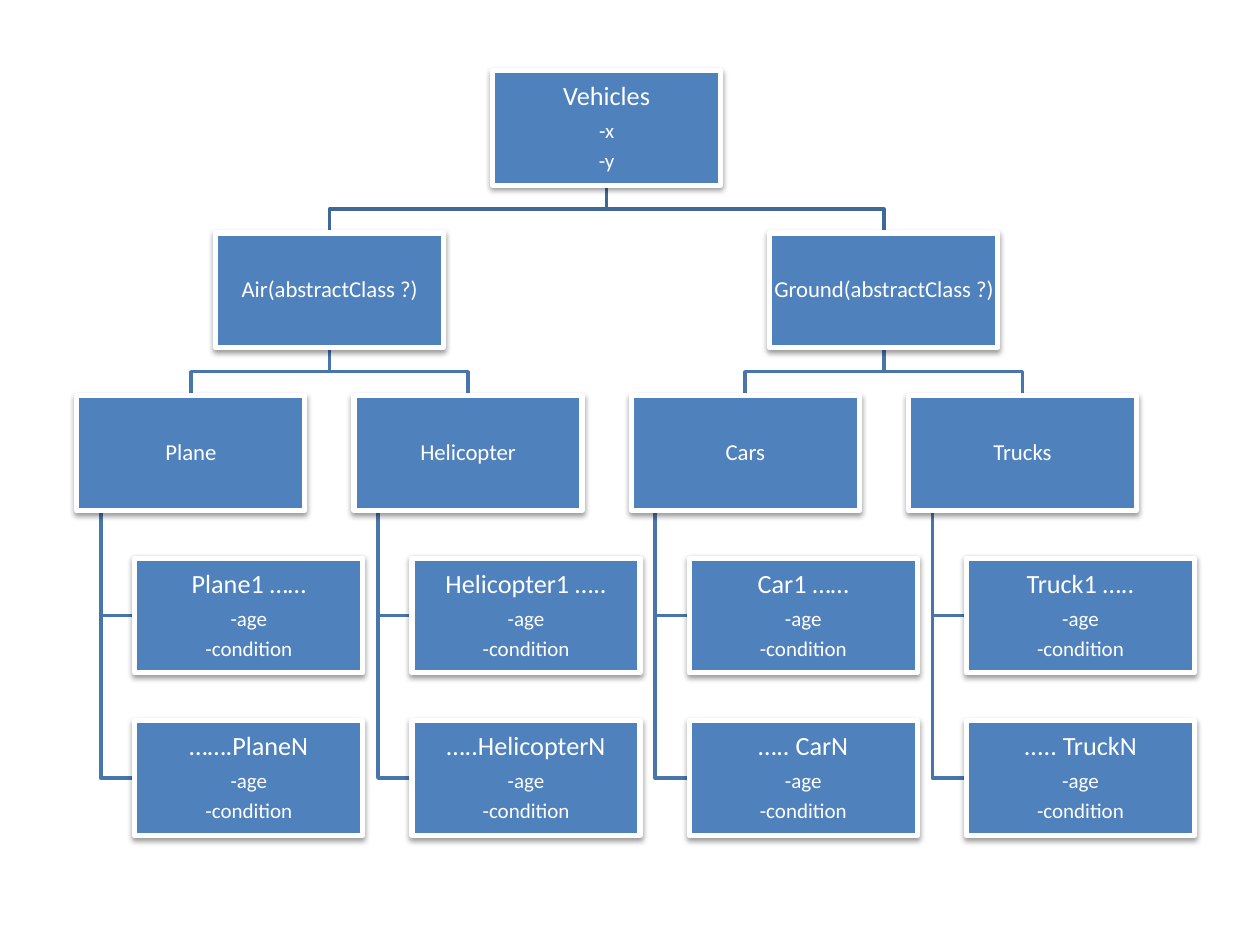
from lxml import etree
from pptx import Presentation
from pptx import util as u
from pptx.dml import color
from pptx.enum import shapes, text
from pptx.oxml import ns

HUES = {"box": "4F81BD", "edge": "FFFFFF", "text": "FFFFFF",
        "top": "3F6797", "low": "4875AC", "shade": "000000"}
LEFT, TOP, COL, ROW = 0.61, 0.56, 2.2, 1.29
WIDE, HIGH, SHIFT, SPINE = 1.81, 0.91, 0.46, 0.19
KINDS = [
    ("Plane", "Plane1 ……", "…….PlaneN"),
    ("Helicopter", "Helicopter1 …..", "…..HelicopterN"),
    ("Cars", "Car1 ……", "….. CarN"),
    ("Trucks", "Truck1 …..", "..... TruckN"),
]


def hue(name):
    return color.RGBColor.from_string(HUES[name])


def spot(col, row):
    return LEFT + COL * col, TOP + ROW * row


def shade(shape):
    props = shape._element.spPr
    for old in props.findall(ns.qn("a:effectLst")):
        props.remove(old)
    fx = etree.SubElement(props, ns.qn("a:effectLst"))
    outer = etree.SubElement(fx, ns.qn("a:outerShdw"), blurRad="40000",
                             dist="20000", dir="5400000", rotWithShape="0")
    tint = etree.SubElement(outer, ns.qn("a:srgbClr"), val=HUES["shade"])
    etree.SubElement(tint, ns.qn("a:alpha"), val="38000")


def path(slide, points, tone):
    spots = [(u.Inches(x), u.Inches(y)) for x, y in points]
    pen = slide.shapes.build_freeform(*spots[0])
    pen.add_line_segments(spots[1:], close=False)
    line = pen.convert_to_shape()
    line.shadow.inherit = False
    line.fill.background()
    line.line.color.rgb = hue(tone)
    line.line.width = u.Pt(2)


def fork(slide, col, row, span, tone):
    """Join a box to the two boxes that stand span columns to either side."""
    x, y = spot(col, row)
    x, y, end = x + WIDE / 2, y + HIGH, y + ROW
    mid = (y + end) / 2
    for side in (-1, 1):
        far = x + side * span * COL
        path(slide, [(x, y), (x, mid), (far, mid), (far, end)], tone)


def hook(slide, col, row):
    x, y = spot(col, 2)
    end = spot(col, row)[1] + HIGH / 2
    path(slide, [(x + SPINE, y + HIGH), (x + SPINE, end), (x + SHIFT, end)], "low")


def box(slide, col, row, title, notes=(), shift=0):
    x, y = spot(col, row)
    rect = slide.shapes.add_shape(
        shapes.MSO_SHAPE.RECTANGLE, u.Inches(x + shift), u.Inches(y),
        u.Inches(WIDE), u.Inches(HIGH))
    rect.fill.solid()
    rect.fill.fore_color.rgb = hue("box")
    rect.line.color.rgb = hue("edge")
    rect.line.width = u.Pt(3)
    shade(rect)
    frame = rect.text_frame
    frame.word_wrap = True
    frame.vertical_anchor = text.MSO_ANCHOR.MIDDLE
    frame.margin_left = frame.margin_right = u.Inches(0.01)
    frame.margin_top = frame.margin_bottom = u.Inches(0.01)
    frame.text = "\n".join([title, *notes])
    for i, para in enumerate(frame.paragraphs):
        size = 12 if i else 15 if notes else 13
        para.alignment = text.PP_ALIGN.CENTER
        para.line_spacing = 0.9
        para.space_after = u.Pt(size * 0.35)
        para.font.size = u.Pt(size)
        para.font.name = "Calibri"
        para.font.color.rgb = hue("text")


def main():
    deck = Presentation()
    deck.slide_width, deck.slide_height = u.Inches(10), u.Inches(7.5)
    slide = deck.slides.add_slide(deck.slide_layouts[6])

    for col in range(len(KINDS)):
        for row in (4, 3):
            hook(slide, col, row)
    for col in (0.5, 2.5):
        fork(slide, col, 1, 0.5, "low")
    fork(slide, 1.5, 0, 1, "top")

    box(slide, 1.5, 0, "Vehicles", ("-x", "-y"))
    for col, name in ((0.5, "Air"), (2.5, "Ground")):
        box(slide, col, 1, f"{name}(abstractClass ?)")
    for col, (kind, *items) in enumerate(KINDS):
        box(slide, col, 2, kind)
        for row, item in enumerate(items, 3):
            box(slide, col, row, item, ("-age", "-condition"), SHIFT)

    deck.save("out.pptx")


main()
